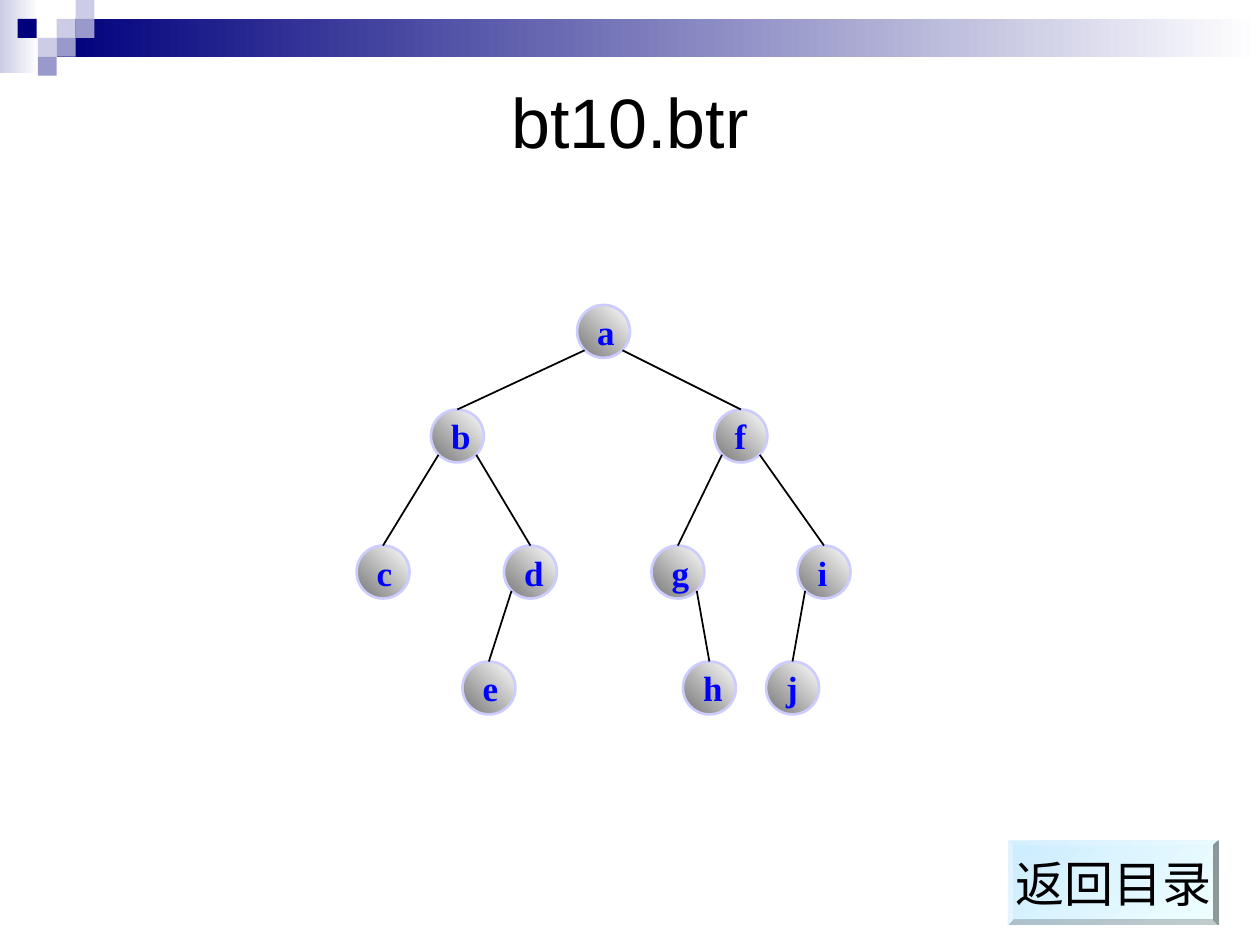
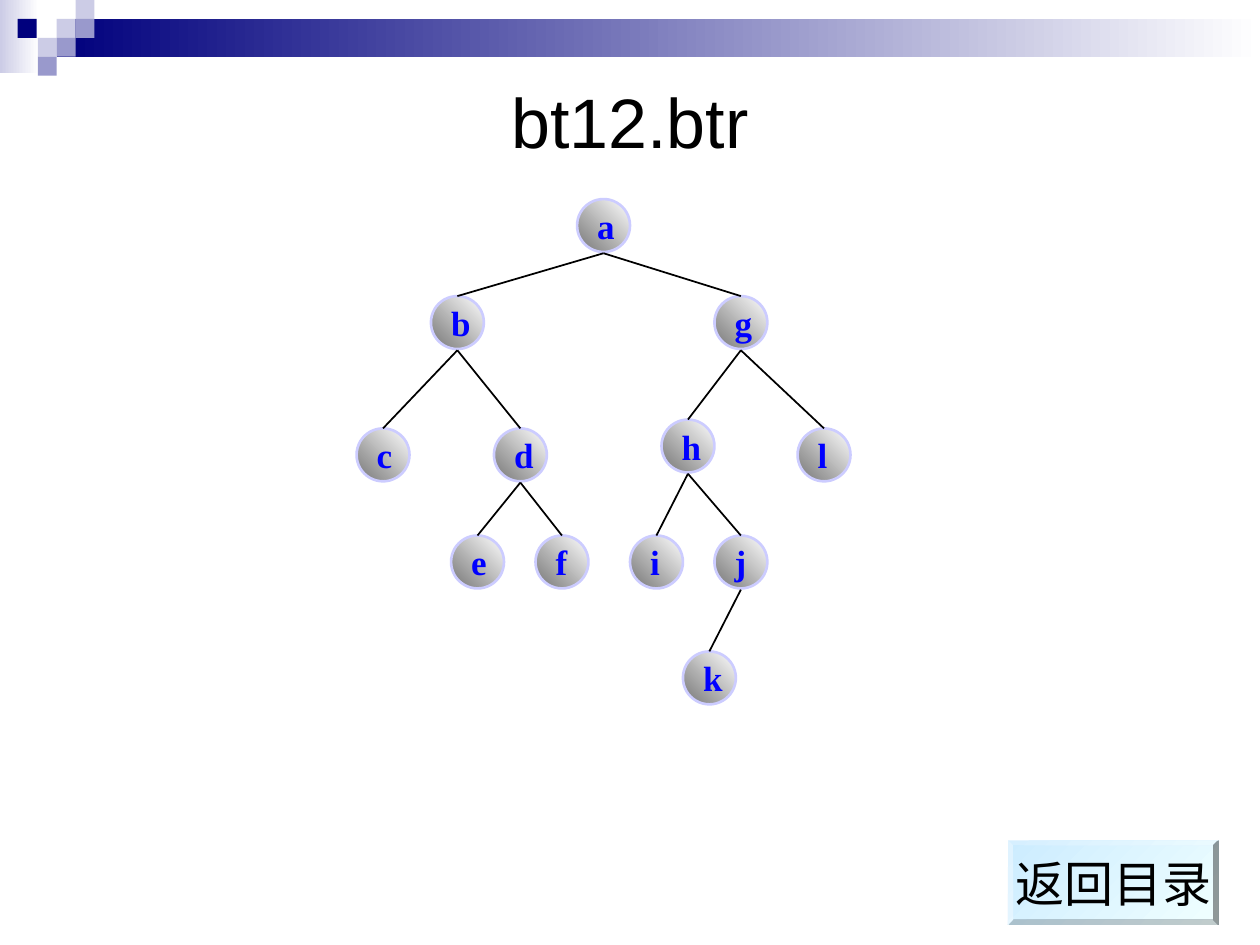
from pptx import Presentation
from pptx import util as u
from pptx.dml.color import RGBColor
from pptx.enum import shapes, text
from pptx.oxml.ns import qn
from lxml import etree

NAVY = RGBColor(0x00, 0x00, 0x7D)
LILAC = RGBColor(0xCC, 0xCC, 0xE6)
MAUVE = RGBColor(0x99, 0x99, 0xCC)
WHITE = RGBColor(0xFF, 0xFF, 0xFF)
BLACK = RGBColor(0x00, 0x00, 0x00)
GREY = RGBColor(0x76, 0x76, 0x76)
RIM = RGBColor(0xCC, 0xCC, 0xFF)
LETTER = RGBColor(0x00, 0x00, 0xFF)
ICE = RGBColor(0xCC, 0xEC, 0xFF)
PALE_ICE = RGBColor(0xF0, 0xFF, 0xFF)

TREES = [
    {
        "title": "bt10.btr",
        "branch_spread": 0.15,
        "branch_drop": 0.36,
        "nodes": {
            "a": (4.58, 2.42, None),
            "b": (3.42, 3.25, "a"),
            "f": (5.67, 3.25, "a"),
            "c": (2.83, 4.33, "b"),
            "d": (4.0, 4.33, "b"),
            "g": (5.17, 4.33, "f"),
            "i": (6.33, 4.33, "f"),
            "e": (3.67, 5.25, "d"),
            "h": (5.42, 5.25, "g"),
            "j": (6.08, 5.25, "i"),
        },
    },
    {
        "title": "bt12.btr",
        "branch_spread": 0,
        "branch_drop": 0.43,
        "nodes": {
            "a": (4.58, 1.58, None),
            "b": (3.42, 2.35, "a"),
            "g": (5.67, 2.35, "a"),
            "c": (2.83, 3.4, "b"),
            "d": (3.92, 3.4, "b"),
            "h": (5.25, 3.33, "g"),
            "l": (6.33, 3.4, "g"),
            "e": (3.58, 4.25, "d"),
            "f": (4.25, 4.25, "d"),
            "i": (5.0, 4.25, "h"),
            "j": (5.67, 4.25, "h"),
            "k": (5.42, 5.17, "j"),
        },
    },
]
BUTTON_LABEL = "返回目录"

NODE_SIZE = 0.42
TILE = 0.15
FADES = [
    ((0, 0, 0.31, 0.58), LILAC),
    ((0.45, 0.15, 9.55, 0.3), NAVY),
]
TILES = [
    (0.45, 0.15, LILAC),
    (0.6, 0, LILAC),
    (0.6, 0.15, MAUVE),
    (0.3, 0.3, LILAC),
    (0.14, 0.15, NAVY),
    (0.45, 0.3, MAUVE),
    (0.3, 0.45, MAUVE),
]

TITLE_FONT = {"name": "Arial", "size": u.Pt(40)}
BUTTON_FONT = {"name": "Arial", "size": u.Pt(28)}
NODE_FONT = {"name": "Times New Roman", "size": u.Pt(20), "bold": True}


def inches(values):
    return [u.Inches(value) for value in values]


def add_preset(page, kind, place):
    shape = page.shapes.add_shape(kind, *inches(place))
    shape.shadow.inherit = False
    shape.line.fill.background()
    return shape


def fill_gradient(shape, colours, angle):
    shape.fill.gradient()
    shape.fill.gradient_angle = angle
    for stop, colour in zip(shape.fill.gradient_stops, colours):
        stop.color.rgb = colour


def write(shape, words, font, colour, align, wrap):
    frame = shape.text_frame
    frame.word_wrap = wrap
    frame.vertical_anchor = text.MSO_ANCHOR.MIDDLE
    para = frame.paragraphs[0]
    para.alignment = align
    span = para.add_run()
    span.text = words
    for name, value in font.items():
        setattr(span.font, name, value)
    span.font.color.rgb = colour


def add_header(page, title):
    for place, colour in FADES:
        fade = add_preset(page, shapes.MSO_SHAPE.RECTANGLE, place)
        fill_gradient(fade, (colour, WHITE), 0)
    for left, top, colour in TILES:
        tile = add_preset(page, shapes.MSO_SHAPE.RECTANGLE, (left, top, TILE, TILE))
        tile.fill.solid()
        tile.fill.fore_color.rgb = colour
    box = page.shapes.add_textbox(*inches((0.5, 0.5, 9, 0.92)))
    write(box, title, TITLE_FONT, BLACK, text.PP_ALIGN.CENTER, True)


def add_node(page, letter, left, top):
    node = add_preset(page, shapes.MSO_SHAPE.OVAL, (left, top, NODE_SIZE, NODE_SIZE))
    fill_gradient(node, (GREY, WHITE), 45)
    node.line.color.rgb = RIM
    node.line.width = u.Pt(1.5)
    write(node, letter, NODE_FONT, LETTER, text.PP_ALIGN.LEFT, False)
    return node


def add_branch(page, start, child):
    branch = page.shapes.add_connector(shapes.MSO_CONNECTOR.STRAIGHT, *inches(start), 0, 0)
    branch.end_connect(child, 0)
    branch.line.color.rgb = BLACK
    branch.line.width = u.Pt(1)
    etree.SubElement(branch._element.spPr, qn("a:effectLst"))


def add_tree(page, tree):
    nodes = tree["nodes"]
    for letter, (left, top, parent) in nodes.items():
        node = add_node(page, letter, left, top)
        if parent:
            parent_left, parent_top, _ = nodes[parent]
            side = 1 if left > parent_left else -1
            start_x = parent_left + NODE_SIZE / 2 + side * tree["branch_spread"]
            add_branch(page, (start_x, parent_top + tree["branch_drop"]), node)


def add_button(page):
    button = add_preset(page, shapes.MSO_SHAPE.BEVEL, (8, 6.67, 1.67, 0.67))
    button.adjustments[0] = 0.06
    fill_gradient(button, (ICE, PALE_ICE), 315)
    write(button, BUTTON_LABEL, BUTTON_FONT, BLACK, text.PP_ALIGN.CENTER, False)


def main():
    deck = Presentation()
    deck.slide_width, deck.slide_height = inches((10, 7.5))
    for tree in TREES:
        page = deck.slides.add_slide(deck.slide_layouts[6])
        add_header(page, tree["title"])
        add_tree(page, tree)
        add_button(page)
    deck.save("out.pptx")


if __name__ == "__main__":
    main()
